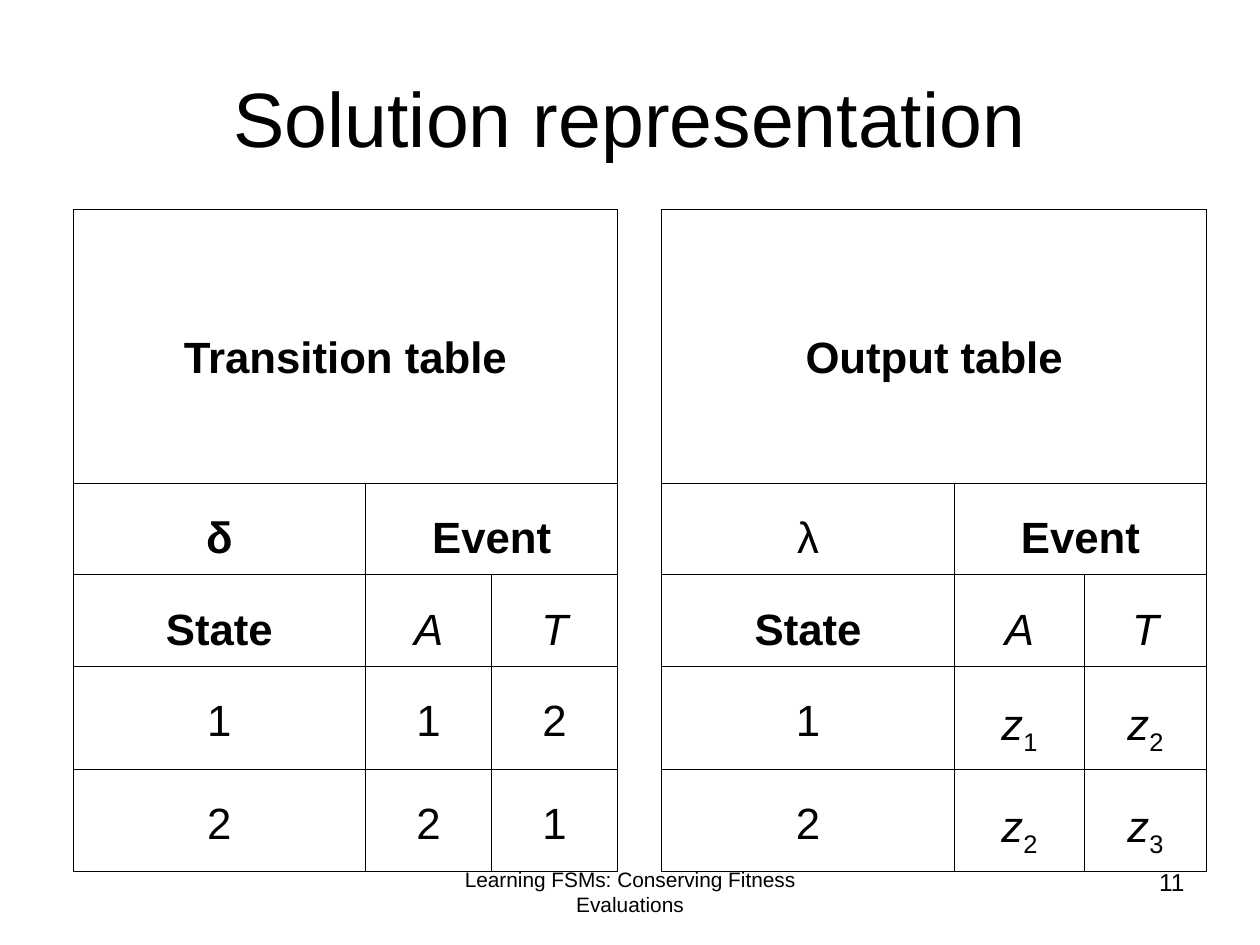
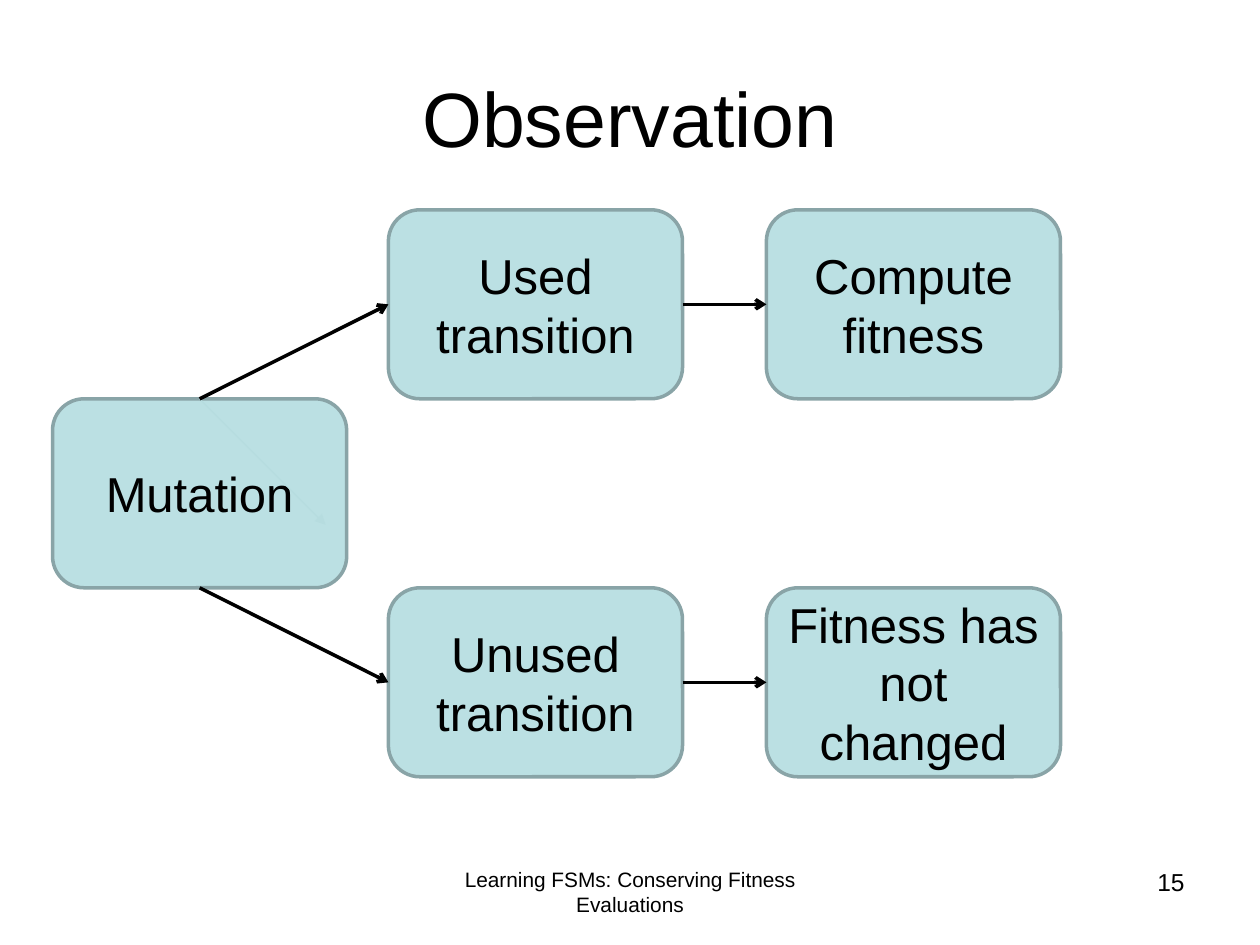
import pptx
import pptx.dml.color
import pptx.enum.shapes
import pptx.enum.text
import pptx.oxml
import pptx.oxml.ns
import pptx.util
from pptx.util import Cm

COLORS = {"text": "000000", "box": "BBE0E3", "outline": "89A4A7", "faint": "B6DCDF"}
FONT = "Arial"
FOOTER = "Learning FSMs: Conserving Fitness Evaluations"
ALIGN = pptx.enum.text.PP_ALIGN
ANCHOR = pptx.enum.text.MSO_ANCHOR

TITLE_BOX = (1.27, 0.76, 22.86, 3.18)
FOOTER_BOX = (8.68, 17.35, 8.04, 1.32)
NUMBER_BOX = (18.2, 17.35, 5.93, 1.32)

COL_WIDTHS = (5.9, 2.54, 2.54, 0.89, 5.9, 2.62, 2.46)
ROW_HEIGHTS = (5.51, 1.68, 1.68, 1.8, 1.8)
GAP_COL = 3
TRANSITION = [
    [("Transition table", "b")],
    [("δ", "b"), ("Event", "b")],
    [("State", "b"), ("A", "i"), ("T", "i")],
    [("1", ""), ("1", ""), ("2", "")],
    [("2", ""), ("2", ""), ("1", "")],
]
OUTPUT = [
    [("Output table", "b")],
    [("λ", ""), ("Event", "b")],
    [("State", "b"), ("A", "i"), ("T", "i")],
    [("1", ""), ("z_1", "i"), ("z_2", "i")],
    [("2", ""), ("z_2", "i"), ("z_3", "i")],
]

BOX_W, BOX_H = 5.93, 3.81
FLOW_BOXES = {
    "Mutation": (0, 1),
    "Used transition": (6.77, 0),
    "Unused transition": (6.77, 2),
    "Fitness has not changed": (14.39, 2),
    "Compute fitness": (14.39, 0),
}
FLOW_ARROWS = [
    ("Mutation", 0, "Used transition"),
    ("Mutation", 2, "Unused transition"),
    ("Used transition", 3, "Compute fitness"),
    ("Unused transition", 3, "Fitness has not changed"),
]


def rgb(name):
    """Return a named colour."""
    return pptx.dml.color.RGBColor.from_string(COLORS[name])


def sub(parent, tag, **attrs):
    """Append a DrawingML element and return it."""
    el = pptx.oxml.parse_xml(f"<{tag} {pptx.oxml.ns.nsdecls('a')}/>")
    for key, value in attrs.items():
        el.set(key, value)
    parent.append(el)
    return el


def style_run(r, size, bold=False, italic=False):
    """Give a run the shared font and colour."""
    r.font.name, r.font.size = FONT, pptx.util.Pt(size)
    r.font.bold, r.font.italic = bold, italic
    r.font.color.rgb = rgb("text")


def set_text(sp, text, size, align=ALIGN.CENTER, anchor=ANCHOR.MIDDLE):
    """Write one wrapped paragraph into a shape."""
    tf = sp.text_frame
    tf.word_wrap, tf.vertical_anchor = True, anchor
    tf.text = text
    p = tf.paragraphs[0]
    p.alignment = align
    style_run(p.runs[0], size)


def add_text(s, box, text, size, **layout):
    """Add a text box in the given box."""
    set_text(s.shapes.add_textbox(*map(Cm, box)), text, size, **layout)


def add_slide(prs, title, number):
    """Add a slide with the shared title, footer and number."""
    s = prs.slides.add_slide(prs.slide_layouts[6])
    add_text(s, TITLE_BOX, title, 44)
    add_text(s, FOOTER_BOX, FOOTER, 11.9, anchor=ANCHOR.TOP)
    add_text(s, NUMBER_BOX, str(number), 14, align=ALIGN.RIGHT, anchor=ANCHOR.TOP)
    return s


def format_cell(cell, sides):
    """Draw a cell's borders on the given sides and clear its fill."""
    tcPr = cell._tc.get_or_add_tcPr()
    for side in "LRTB":
        ln = sub(tcPr, f"a:ln{side}", w=str(pptx.util.Pt(0.45)))
        if side in sides:
            sub(sub(ln, "a:solidFill"), "a:srgbClr", val=COLORS["text"])
        else:
            sub(ln, "a:noFill")
    cell.fill.background()
    cell.margin_left = cell.margin_right = Cm(0.2)
    cell.margin_top = cell.margin_bottom = Cm(0.13)


def fill_cell(cell, text, style):
    """Write cell text; the part after an underscore is a subscript."""
    base, _, index = text.partition("_")
    p = cell.text_frame.paragraphs[0]
    p.text = base
    p.alignment, p.line_spacing = ALIGN.CENTER, 1.5
    style_run(p.runs[0], 25, bold="b" in style, italic="i" in style)
    if index:
        r = p.add_run()
        r.text = index
        style_run(r, 25)
        r.font._element.set("baseline", "-25000")


def fill_half(table, first_col, rows):
    """Fill three columns, stretching each row's last cell to the end."""
    for i, row in enumerate(rows):
        for j, (text, style) in enumerate(row):
            fill_cell(table.cell(i, first_col + j), text, style)
        if len(row) < 3:
            last = table.cell(i, first_col + len(row) - 1)
            last.merge(table.cell(i, first_col + 2))
    table.cell(0, first_col).vertical_anchor = ANCHOR.MIDDLE


def add_tables(s, left, top):
    """Add the transition and output tables side by side."""
    table = s.shapes.add_table(
        len(ROW_HEIGHTS), len(COL_WIDTHS), Cm(left), Cm(top),
        Cm(sum(COL_WIDTHS)), Cm(sum(ROW_HEIGHTS))).table
    table.first_row = table.horz_banding = False
    for col, width in zip(table.columns, COL_WIDTHS):
        col.width = Cm(width)
    for row, height in zip(table.rows, ROW_HEIGHTS):
        row.height = Cm(height)
        for j, cell in enumerate(row.cells):
            format_cell(cell, "LR" if j == GAP_COL else "LRTB")
            if j == GAP_COL:
                cell.text_frame.paragraphs[0].font.size = pptx.util.Pt(12)
    fill_half(table, 0, TRANSITION)
    fill_half(table, GAP_COL + 1, OUTPUT)


def add_arrow(s, start, end, color="text", width=2, head="arrow"):
    """Add a straight arrow between two points in cm."""
    c = s.shapes.add_connector(
        pptx.enum.shapes.MSO_CONNECTOR.STRAIGHT, *map(Cm, start + end))
    c.line.color.rgb, c.line.width = rgb(color), pptx.util.Pt(width)
    sub(c.line._get_or_add_ln(), "a:tailEnd", type=head)
    sub(c._element.spPr, "a:effectLst")
    return c


def add_flow_box(s, left, top, text):
    """Add a rounded step of the flow."""
    sp = s.shapes.add_shape(
        pptx.enum.shapes.MSO_SHAPE.ROUNDED_RECTANGLE,
        Cm(left), Cm(top), Cm(BOX_W), Cm(BOX_H))
    sp.shadow.inherit = False
    sp.fill.solid()
    sp.fill.fore_color.rgb = rgb("box")
    sp.line.color.rgb, sp.line.width = rgb("outline"), pptx.util.Pt(2)
    set_text(sp, text, 28)
    return sp


def add_flow(s, left, top):
    """Add the mutation flow with its arrows."""
    steps = {text: add_flow_box(s, left + x, top + level * BOX_H, text)
             for text, (x, level) in FLOW_BOXES.items()}
    corner = (left + BOX_W / 2, top + BOX_H)
    add_arrow(s, corner, (corner[0] + 2.54, corner[1] + 2.54),
              "faint", 0.75, "triangle")
    for source, side, target in FLOW_ARROWS:
        c = add_arrow(s, corner, corner)
        c.begin_connect(steps[source], side)
        c.end_connect(steps[target], 1)


def main():
    """Build the deck."""
    prs = pptx.Presentation()
    prs.slide_width, prs.slide_height = Cm(25.4), Cm(19.05)
    add_tables(add_slide(prs, "Solution representation", 11), 1.47, 4.23)
    add_flow(add_slide(prs, "Observation", 15), 1.06, 4.23)
    prs.save("out.pptx")


if __name__ == "__main__":
    main()
